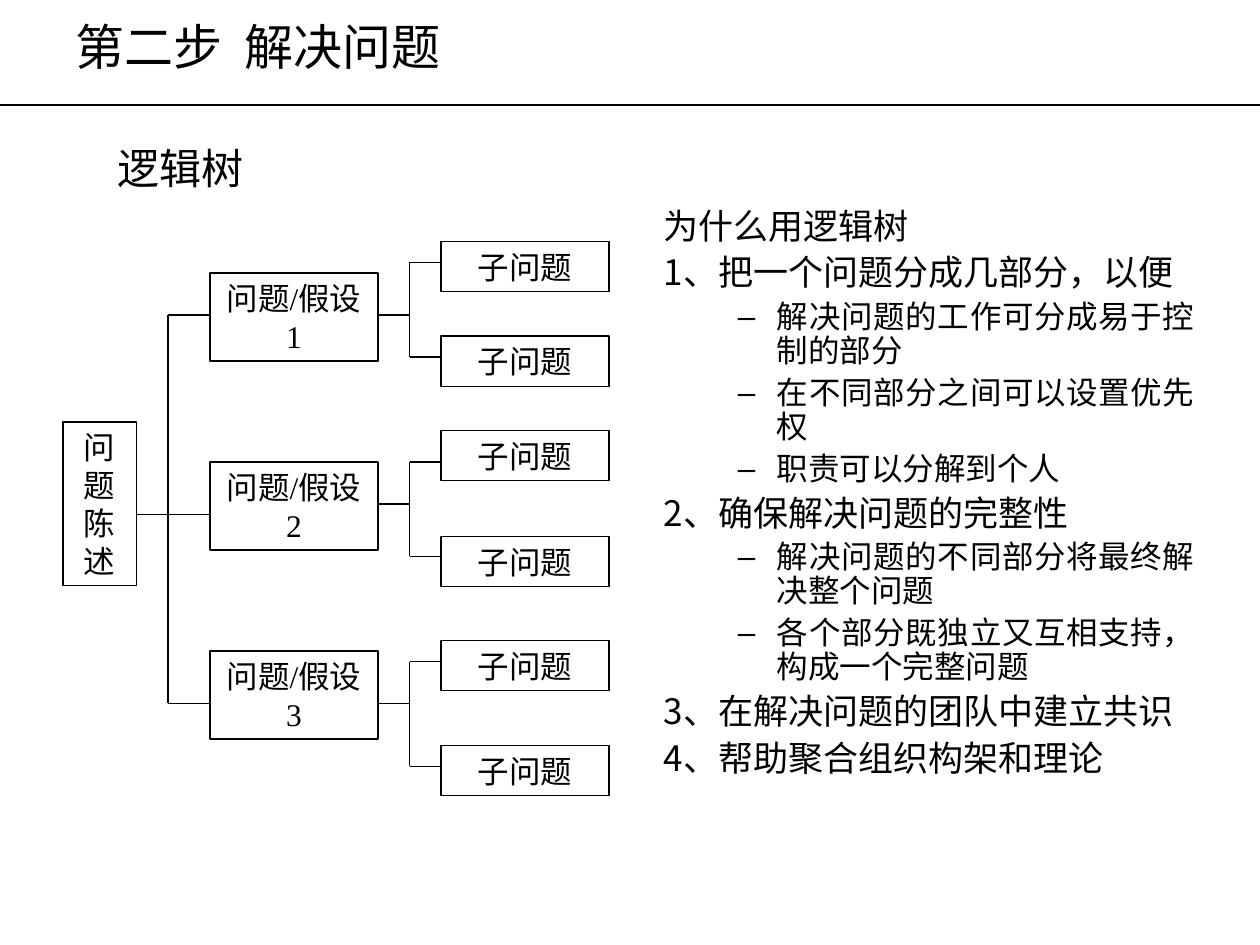
"""Build a slide that shows a logic tree beside the reasons to use one."""
from dataclasses import dataclass

from lxml.etree import SubElement
from pptx import Presentation
from pptx.dml.color import RGBColor
from pptx.enum.shapes import MSO_CONNECTOR, MSO_SHAPE
from pptx.enum.text import MSO_ANCHOR, MSO_AUTO_SIZE, PP_ALIGN
from pptx.oxml.ns import qn
from pptx.util import Emu, Inches, Pt


@dataclass(frozen=True)
class Theme:
    ink: RGBColor = RGBColor(0, 0, 0)
    paper: RGBColor = RGBColor(255, 255, 255)
    sans: str = "Noto Sans CJK SC"
    serif: str = "Times New Roman"
    title: int = 28
    head: int = 24
    point: int = 20
    small: int = 18
    rule: float = 0.75


@dataclass(frozen=True)
class Box:
    left: float
    top: float
    width: float
    height: float


@dataclass(frozen=True)
class Branch:
    label: str
    top: float
    entry: float
    stem: float
    forks: tuple[float, float]
    leaves: tuple[float, float]


@dataclass(frozen=True)
class Level:
    size: int
    margin: float
    indent: float
    before: float
    mark: str = ""


THEME = Theme()
UNIT = Inches(1) / 12
COLS, ROWS = 120, 90
ROOT = Box(6, 40.2, 7, 15.6)
TRUNK, NODE, FORK, LEAF = 16, 20, 39, 42
WIDE, TALL, SHORT = 16, 8.4, 4.8
BRANCHES = (
    Branch("问题/假设1", 26, 30, 30, (25, 34), (23, 32)),
    Branch("问题/假设 2", 44, 49, 48, (44, 53), (41, 51.1)),
    Branch("问题/假设 3", 62, 67, 67, (63, 73), (61, 71)),
)
LEVELS = (
    Level(THEME.point, 0.38, -0.38, 5),
    Level(THEME.small, 0.9, -0.31, 4.5, "–"),
)
POINTS = (
    (0, "为什么用逻辑树"),
    (0, "1、把一个问题分成几部分，以便"),
    (1, "解决问题的工作可分成易于控制的部分"),
    (1, "在不同部分之间可以设置优先权"),
    (1, "职责可以分解到个人"),
    (0, "2、确保解决问题的完整性"),
    (1, "解决问题的不同部分将最终解决整个问题"),
    (1, "各个部分既独立又互相支持，构成一个完整问题"),
    (0, "3、在解决问题的团队中建立共识"),
    (0, "4、帮助聚合组织构架和理论"),
)


def grid(*units: float) -> list[Emu]:
    return [Emu(round(unit * UNIT)) for unit in units]


def place(shape, box: Box) -> None:
    shape.left, shape.top, shape.width, shape.height = grid(
        box.left, box.top, box.width, box.height)


def write(para, text: str, size: int, face: str) -> None:
    run = para.add_run()
    run.text = text
    run.font.size = Pt(size)
    run.font.name = face
    run.font.color.rgb = THEME.ink
    east = SubElement(run.font._element, qn("a:ea"))
    east.set("typeface", THEME.sans)


def setup(frame, anchor: MSO_ANCHOR):
    frame.word_wrap = True
    frame.auto_size = MSO_AUTO_SIZE.NONE
    frame.vertical_anchor = anchor
    return frame.paragraphs[0]


def line(slide, x1: float, y1: float, x2: float, y2: float) -> None:
    rule = slide.shapes.add_connector(
        MSO_CONNECTOR.STRAIGHT, *grid(x1, y1, x2, y2))
    rule.line.color.rgb = THEME.ink
    rule.line.width = Pt(THEME.rule)
    SubElement(rule._element.spPr, qn("a:effectLst"))


def node(slide, box: Box, text: str) -> None:
    shape = slide.shapes.add_shape(
        MSO_SHAPE.RECTANGLE, *grid(box.left, box.top, box.width, box.height))
    shape.shadow.inherit = False
    shape.fill.solid()
    shape.fill.fore_color.rgb = THEME.paper
    shape.line.color.rgb = THEME.ink
    shape.line.width = Pt(THEME.rule)
    para = setup(shape.text_frame, MSO_ANCHOR.TOP)
    para.alignment = PP_ALIGN.CENTER
    write(para, text, THEME.small, THEME.serif)


def tree(slide) -> None:
    node(slide, ROOT, "问题陈述")
    line(slide, TRUNK, BRANCHES[0].entry, TRUNK, BRANCHES[-1].entry)
    line(slide, ROOT.left + ROOT.width, BRANCHES[1].entry,
         TRUNK, BRANCHES[1].entry)
    for branch in BRANCHES:
        line(slide, TRUNK, branch.entry, NODE, branch.entry)
        node(slide, Box(NODE, branch.top, WIDE, TALL), branch.label)
        line(slide, NODE + WIDE, branch.stem, FORK, branch.stem)
        line(slide, FORK, branch.forks[0], FORK, branch.forks[1])
        for row, top in zip(branch.forks, branch.leaves):
            line(slide, FORK, row, LEAF, row)
            node(slide, Box(LEAF, top, WIDE, SHORT), "子问题")


def points(holder) -> None:
    place(holder, Box(62, 19.3, 53, 56.5))
    first = setup(holder.text_frame, MSO_ANCHOR.TOP)
    for count, (depth, text) in enumerate(POINTS):
        para = holder.text_frame.add_paragraph() if count else first
        level = LEVELS[depth]
        props = para._p.get_or_add_pPr()
        props.set("marL", str(Inches(level.margin)))
        props.set("indent", str(Inches(level.indent)))
        if level.mark:
            SubElement(props, qn("a:buChar")).set("char", level.mark)
        else:
            SubElement(props, qn("a:buNone"))
        para.level = depth
        para.alignment = PP_ALIGN.JUSTIFY
        para.line_spacing = 0.9
        para.space_before = Pt(level.before if count else 0)
        write(para, text, level.size, THEME.sans)


def main() -> None:
    deck = Presentation()
    deck.slide_width, deck.slide_height = grid(COLS, ROWS)
    slide = deck.slides.add_slide(deck.slide_layouts[1])
    line(slide, 0, 10, COLS, 10)
    title, body = slide.placeholders
    place(title, Box(6, 2, 110, 4.7))
    para = setup(title.text_frame, MSO_ANCHOR.MIDDLE)
    para.alignment = PP_ALIGN.LEFT
    write(para, "第二步  解决问题", THEME.title, THEME.sans)
    points(body)
    tree(slide)
    label = slide.shapes.add_textbox(*grid(10, 13, 19, 6))
    para = setup(label.text_frame, MSO_ANCHOR.TOP)
    write(para, "逻辑树", THEME.head, THEME.serif)
    deck.save("out.pptx")


if __name__ == "__main__":
    main()
